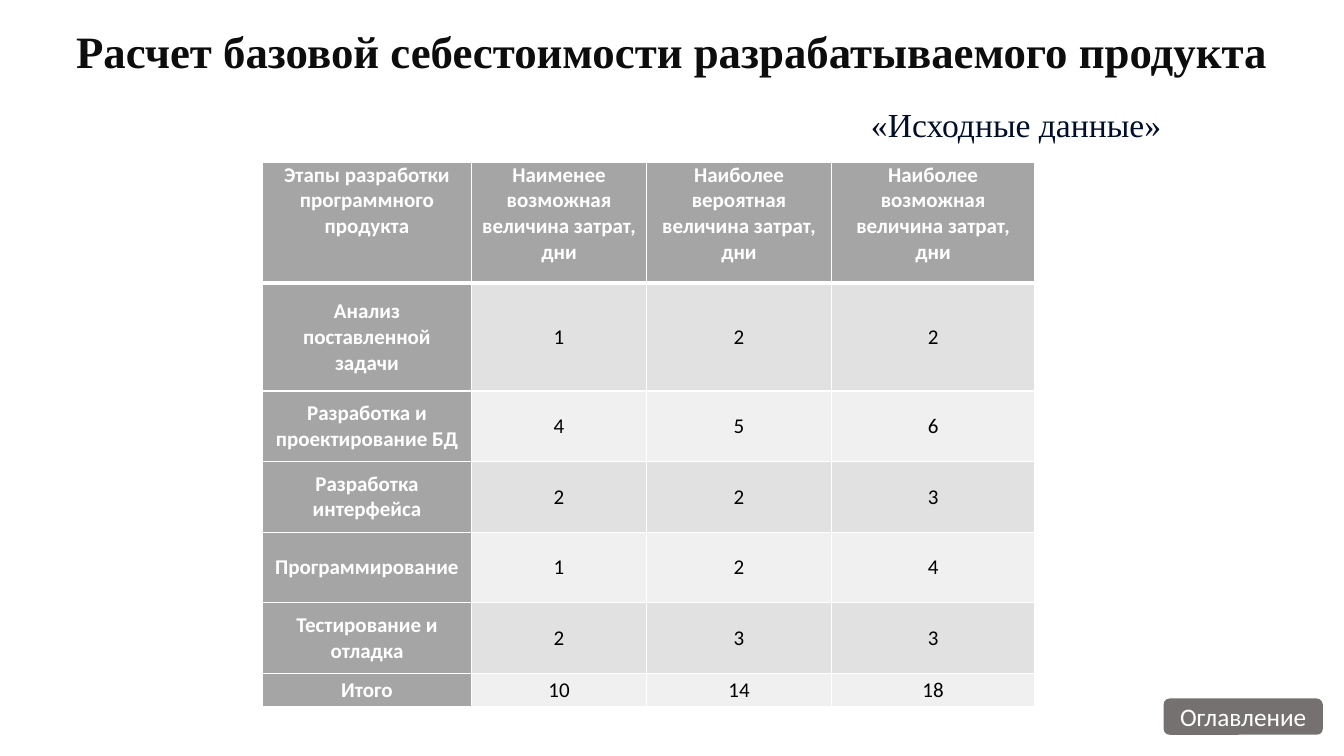
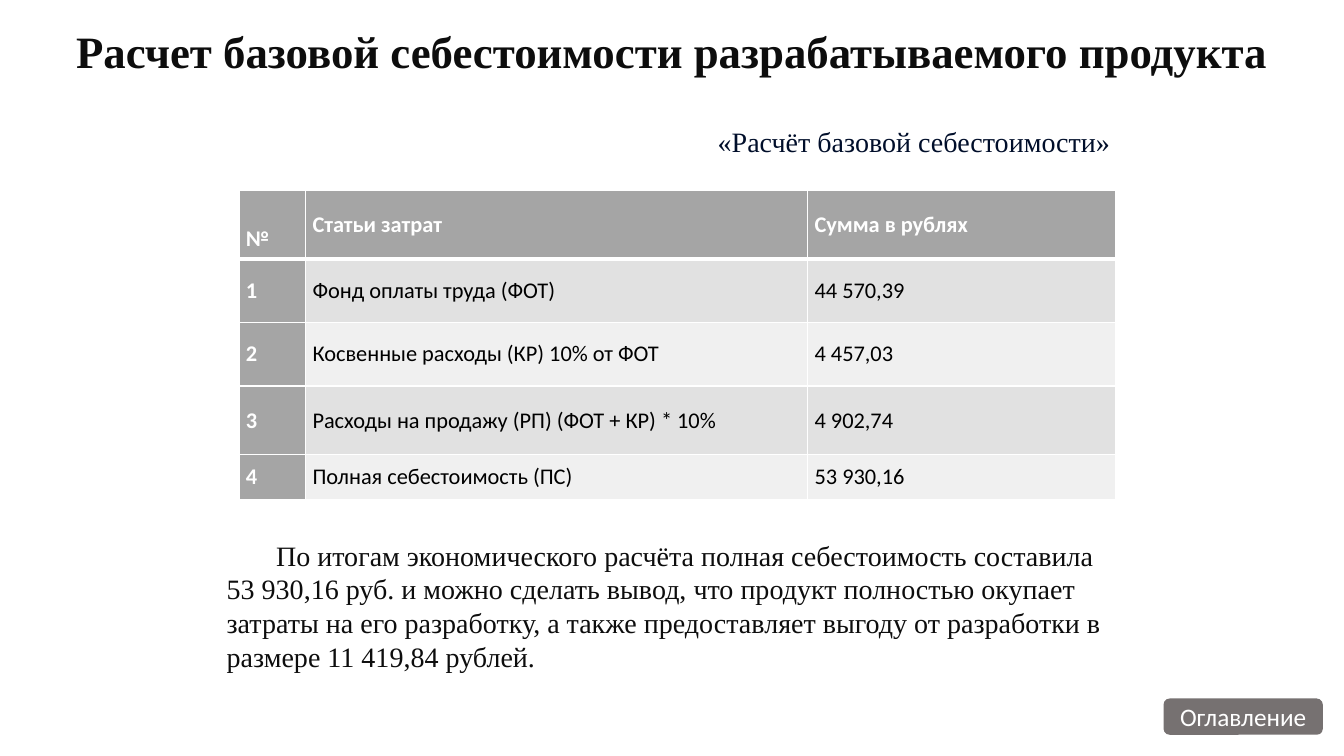
"""Build two slides on the base cost of a software product."""
import pptx
import pptx.dml.color
import pptx.enum.shapes
import pptx.enum.text
import pptx.oxml
import pptx.oxml.ns
import pptx.util

Inches = pptx.util.Inches
Pt = pptx.util.Pt
RGB = pptx.dml.color.RGBColor.from_string
ALIGN = pptx.enum.text.PP_ALIGN
ANCHOR = pptx.enum.text.MSO_ANCHOR
AUTO = pptx.enum.text.MSO_AUTO_SIZE

COLORS = {"ink": "0D0D0D", "navy": "000E2A", "button": "767171", "head": "A5A5A5",
          "odd": "E1E1E1", "even": "F0F0F0", "white": "FFFFFF", "black": "000000"}
SERIF, SANS = "Times New Roman", "Calibri"
TITLE = "Расчет базовой себестоимости разрабатываемого продукта"

SLIDES = [
    {"caption": "«Исходные данные»", "caption_at": (8.54, 0.98, 3.11, 0.5), "caption_size": 24,
     "table_at": (2.6, 1.61), "cols": [2.08, 1.73, 1.84, 2.01],
     "heights": [1.2, 1.07, 0.7, 0.7, 0.7, 0.7, 0.33],
     "size": 15, "align": ALIGN.CENTER, "inset": 0.09, "head_anchor": ANCHOR.TOP,
     "rows": [
         ["Этапы разработки программного продукта", "Наименее возможная величина затрат, дни",
          "Наиболее вероятная\nвеличина затрат, дни", "Наиболее возможная величина затрат, дни"],
         ["Анализ поставленной задачи", "1", "2", "2"],
         ["Разработка и проектирование БД", "4", "5", "6"],
         ["Разработка интерфейса", "2", "2", "3"],
         ["Программирование", "1", "2", "4"],
         ["Тестирование и отладка", "2", "3", "3"],
         ["Итого", "10", "14", "18"]]},
    {"caption": "«Расчёт базовой себестоимости»", "caption_at": (7.02, 1.19, 4.13, 0.44),
     "caption_size": 20, "table_at": (2.37, 1.89), "cols": [0.66, 4.98, 3.05],
     "heights": [0.68, 0.63, 0.63, 0.68, 0.45],
     "size": 16, "align": ALIGN.JUSTIFY, "inset": 0.07, "head_anchor": ANCHOR.MIDDLE,
     "rows": [
         ["№", "Статьи затрат", "Сумма в рублях"],
         ["1", "Фонд оплаты труда (ФОТ)", "44 570,39"],
         ["2", "Косвенные расходы (КР) 10% от ФОТ", "4 457,03"],
         ["3", "Расходы на продажу (РП) (ФОТ + КР) * 10%", "4 902,74"],
         ["4", "Полная себестоимость (ПС)", "53 930,16"]]},
]
CONCLUSION = ("По итогам экономического расчёта полная себестоимость составила 53 930,16 руб. "
              "и можно сделать вывод, что продукт полностью окупает затраты на его разработку, "
              "а также предоставляет выгоду от разработки в размере 11 419,84 рублей.")


def write(tf, text, size, font, color, bold=False, align=ALIGN.LEFT):
    tf.text = text
    for p in tf.paragraphs:
        p.alignment = align
        p.font.size = Pt(size)
        p.font.name = font
        p.font.bold = bold
        p.font.color.rgb = RGB(COLORS[color])


def set_borders(cell, top, bottom):
    tcPr = cell._tc.get_or_add_tcPr()
    for side, width in (("L", 1), ("R", 1), ("T", top), ("B", bottom)):
        tcPr.append(pptx.oxml.parse_xml(
            f'<a:ln{side} {pptx.oxml.ns.nsdecls("a")} w="{Pt(width)}"><a:solidFill>'
            f'<a:srgbClr val="{COLORS["white"]}"/></a:solidFill></a:ln{side}>'))


prs = pptx.Presentation()
prs.slide_width, prs.slide_height = Inches(13.33), Inches(7.5)

for data in SLIDES:
    s = prs.slides.add_slide(prs.slide_layouts[5])
    title = s.shapes.title
    title.left, title.top = Inches(0), Inches(0.02)
    title.width, title.height = Inches(13.33), Inches(0.97)
    title.text_frame.vertical_anchor = ANCHOR.MIDDLE
    write(title.text_frame, TITLE, 32, SERIF, "ink", True, ALIGN.CENTER)

    tf = s.shapes.add_textbox(*map(Inches, data["caption_at"])).text_frame
    tf.word_wrap = False
    tf.auto_size = AUTO.SHAPE_TO_FIT_TEXT
    write(tf, data["caption"], data["caption_size"], SERIF, "navy")

    rows, cols, heights = data["rows"], data["cols"], data["heights"]
    left, top = data["table_at"]
    table = s.shapes.add_table(len(rows), len(cols), Inches(left), Inches(top),
                               Inches(sum(cols)), Inches(sum(heights))).table
    table.first_col = True
    for column, width in zip(table.columns, cols):
        column.width = Inches(width)
    for i, texts in enumerate(rows):
        table.rows[i].height = Inches(heights[i])
        for j, text in enumerate(texts):
            cell = table.cell(i, j)
            heading = i == 0 or j == 0
            set_borders(cell, 3 if i == 1 else 1, 3 if i == 0 else 1)
            cell.fill.solid()
            cell.fill.fore_color.rgb = RGB(COLORS["head" if heading else "odd" if i % 2 else "even"])
            cell.margin_left = cell.margin_right = Inches(data["inset"])
            cell.margin_top = cell.margin_bottom = 0
            cell.vertical_anchor = ANCHOR.MIDDLE if i else data["head_anchor"]
            write(cell.text_frame, text, data["size"], SANS,
                  "white" if heading else "black", heading, data["align"])
            if text == "№":
                cell.vertical_anchor = ANCHOR.BOTTOM
                cell.margin_bottom = Inches(0.07)

    button = s.shapes.add_shape(pptx.enum.shapes.MSO_SHAPE.ROUNDED_RECTANGLE,
                                Inches(11.54), Inches(6.93), Inches(1.58), Inches(0.36))
    button.shadow.inherit = False
    button.fill.solid()
    button.fill.fore_color.rgb = RGB(COLORS["button"])
    button.line.fill.background()
    button.text_frame.vertical_anchor = ANCHOR.MIDDLE
    write(button.text_frame, "Оглавление", 18, SANS, "white", align=ALIGN.CENTER)

tf = s.shapes.add_textbox(Inches(2.15), Inches(5.29), Inches(9.14), Inches(1.45)).text_frame
tf.word_wrap = True
tf.auto_size = AUTO.SHAPE_TO_FIT_TEXT
write(tf, CONCLUSION, 20, SERIF, "ink")
tf.paragraphs[0]._p.get_or_add_pPr().set("indent", str(Inches(0.49)))

prs.save("out.pptx")
